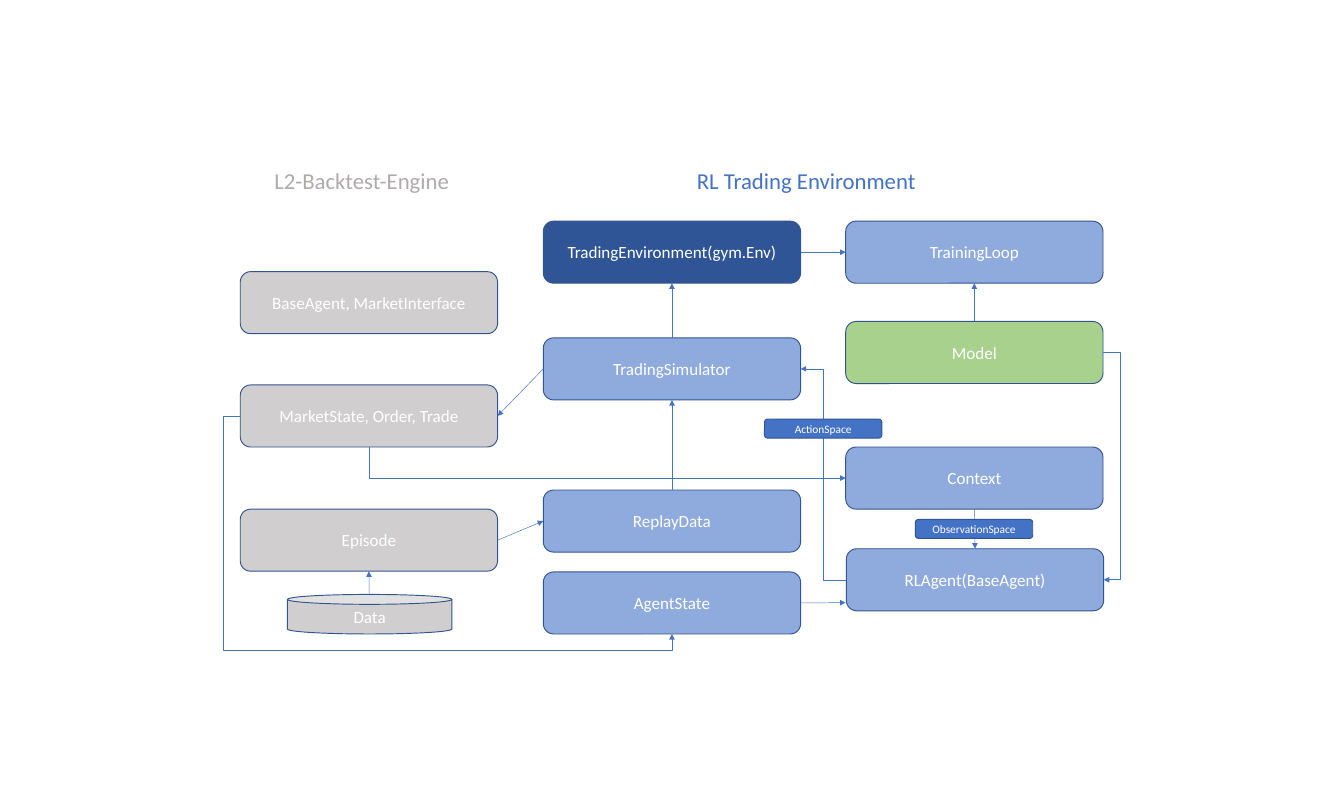
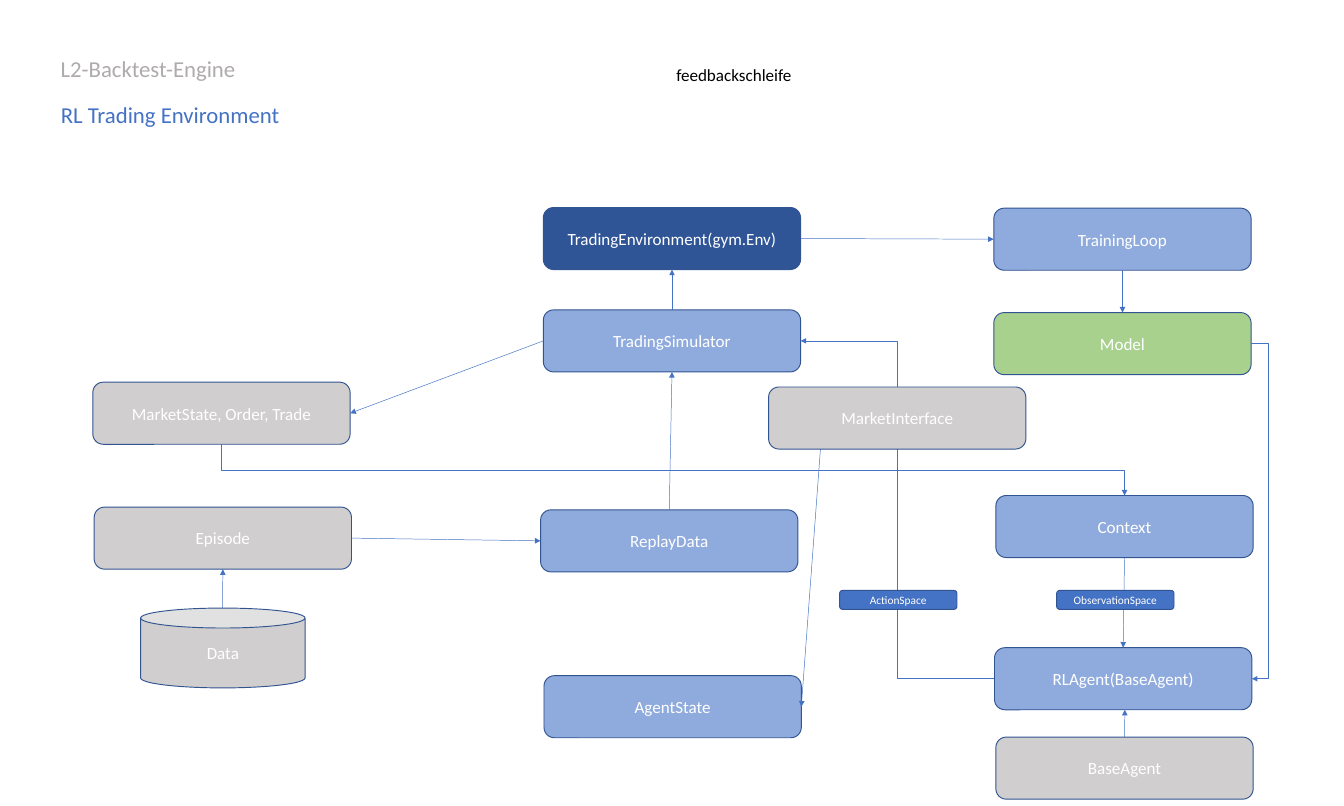
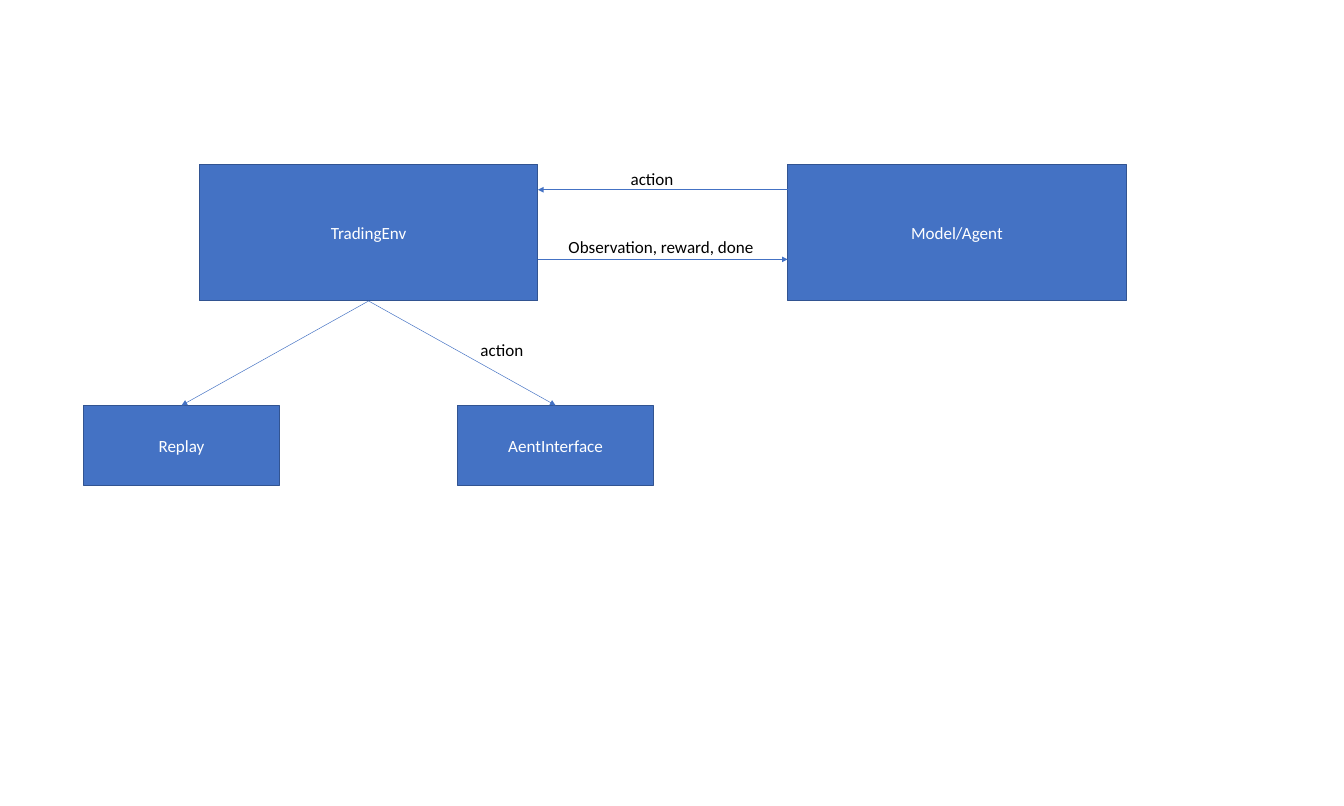
import pptx
import pptx.dml.color
import pptx.enum.shapes
import pptx.enum.text
import pptx.oxml
import pptx.oxml.ns
import pptx.util

Inches = pptx.util.Inches
SHAPE = pptx.enum.shapes.MSO_SHAPE
CONNECTOR = pptx.enum.shapes.MSO_CONNECTOR
ANCHOR = pptx.enum.text.MSO_ANCHOR
ALIGN = pptx.enum.text.PP_ALIGN
AUTO_SIZE = pptx.enum.text.MSO_AUTO_SIZE
qn = pptx.oxml.ns.qn

BLUE, NAVY, LIGHT_BLUE = "4472C4", "2F5597", "8FAADC"
GREY, GREEN, OUTLINE = "D0CECE", "A9D18E", "325491"
HEADING_GREY, WHITE, BLACK = "AFABAB", "FFFFFF", "000000"
TOP, LEFT, BOTTOM, RIGHT = range(4)
NODE_SIZE, TAG_SIZE = (3.77, 0.91), (1.72, 0.28)
TITLE_ONLY, BLANK = 5, 6


def color(value):
    """Return the colour for a hex string."""
    return pptx.dml.color.RGBColor.from_string(value)


def apply(target, values):
    """Set every attribute named in values."""
    for name, value in values.items():
        setattr(target, name, value)


class Diagram:
    """Draws styled boxes, labels and arrows on the current page."""

    def __init__(self):
        """Start an empty deck."""
        self.deck = pptx.Presentation()
        apply(self.deck, {"slide_width": Inches(19.69), "slide_height": Inches(11.81)})

    def new_page(self, layout):
        """Add a page and forget the boxes of the last one."""
        self.page = self.deck.slides.add_slide(self.deck.slide_layouts[layout])
        self.boxes = {}

    def put_text(self, shape, text, size, ink, align, anchor, fit):
        """Put one formatted line of text in a shape."""
        frame = shape.text_frame
        apply(frame, {"word_wrap": True, "auto_size": fit, "vertical_anchor": anchor})
        para = frame.paragraphs[0]
        para.alignment = align
        span = para.add_run()
        span.text = text
        apply(span.font, {"name": "Calibri", "size": pptx.util.Pt(size), "bold": False})
        span.font.color.rgb = color(ink)

    def title(self, text, x, y):
        """Place the page title."""
        shape = self.page.shapes.title
        apply(shape, {"left": Inches(x), "top": Inches(y),
                      "width": Inches(4.56), "height": Inches(0.5)})
        self.put_text(shape, text, 24, BLUE, ALIGN.LEFT, ANCHOR.TOP, AUTO_SIZE.NONE)

    def label(self, text, x, y, width, size=18, ink=BLACK):
        """Place a free line of text."""
        height = 0.5 if size > 18 else 0.4
        shape = self.page.shapes.add_textbox(*map(Inches, (x, y, width, height)))
        self.put_text(shape, text, size, ink, ALIGN.LEFT, ANCHOR.TOP,
                      AUTO_SIZE.SHAPE_TO_FIT_TEXT)

    def box(self, text, x, y, fill, extent=NODE_SIZE, kind=SHAPE.ROUNDED_RECTANGLE, size=18):
        """Draw a box with centred text and remember it by that text."""
        shape = self.page.shapes.add_shape(kind, *map(Inches, (x, y, *extent)))
        shape.shadow.inherit = False
        shape.fill.solid()
        shape.fill.fore_color.rgb = color(fill)
        shape.line.color.rgb = color(OUTLINE)
        shape.line.width = pptx.util.Pt(1)
        self.put_text(shape, text, size, WHITE, ALIGN.CENTER, ANCHOR.MIDDLE, AUTO_SIZE.NONE)
        self.boxes[text] = shape

    def tag(self, text, x, y):
        """Draw a small box that names an arrow."""
        self.box(text, x, y, BLUE, TAG_SIZE, size=12)

    def locate(self, end):
        """Return the point of an arrow end, given as a point or a box and side."""
        if not isinstance(end[0], str):
            return tuple(map(Inches, end))
        shape, side = self.boxes[end[0]], end[1]
        across = {LEFT: 0, RIGHT: shape.width}.get(side, shape.width // 2)
        down = {TOP: 0, BOTTOM: shape.height}.get(side, shape.height // 2)
        return shape.left + across, shape.top + down

    def arrow(self, begin, end, kind=CONNECTOR.STRAIGHT):
        """Draw an arrow and attach the ends that name a box."""
        points = self.locate(begin) + self.locate(end)
        line = self.page.shapes.add_connector(kind, *points)
        for place, attach in ((begin, line.begin_connect), (end, line.end_connect)):
            if isinstance(place[0], str):
                attach(self.boxes[place[0]], place[1])
        line.line.color.rgb = color(BLUE)
        line.line.width = pptx.util.Pt(0.5)
        head = pptx.oxml.parse_xml(
            f'<a:tailEnd {pptx.oxml.ns.nsdecls("a")} type="triangle"/>')
        line.element.spPr.find(qn("a:ln")).append(head)
        effects = pptx.oxml.parse_xml(f'<a:effectLst {pptx.oxml.ns.nsdecls("a")}/>')
        line.element.spPr.append(effects)
        return line

    def elbow(self, begin, end, preset="bentConnector3", via_x=None, via_y=None, down=False):
        """Draw a bent arrow through the given bends; down makes it leave downwards."""
        line = self.arrow(begin, end, CONNECTOR.ELBOW)
        geometry = line.element.spPr.find(qn("a:prstGeom"))
        geometry.set("prst", preset)
        bends = ((via_x, line.begin_x, line.end_x), (via_y, line.begin_y, line.end_y))
        ratios = [(Inches(via) - first) / (last - first)
                  for via, first, last in bends if via is not None]
        guides = geometry.find(qn("a:avLst"))
        for number, ratio in enumerate(ratios, 1):
            guides.append(pptx.oxml.parse_xml(
                f'<a:gd {pptx.oxml.ns.nsdecls("a")} name="adj{number}" '
                f'fmla="val {round(ratio * 100000)}"/>'))
        if down:
            left, top, width, height = line.left, line.top, line.width, line.height
            apply(line, {"left": left + (width - height) // 2,
                         "top": top + (height - width) // 2,
                         "width": height, "height": width})
            frame = line.element.spPr.find(qn("a:xfrm"))
            frame.set("rot", "16200000")
            frame.set("flipH", "1")


def draw_nodes(diagram, nodes):
    """Draw the boxes of a page from rows of text, place and fill."""
    for node in nodes:
        diagram.box(*node)


def draw_arrows(diagram, arrows):
    """Draw straight arrows from pairs of ends."""
    for begin, end in arrows:
        diagram.arrow(begin, end)


def architecture(diagram):
    """Draw the compact class overview."""
    left, middle, right = 3.52, 7.96, 12.39
    diagram.new_page(TITLE_ONLY)
    diagram.title("RL Trading Environment", 10.11, 2.39)
    diagram.label("L2-Backtest-Engine", 3.92, 2.39, 4.56, 24, HEADING_GREY)
    draw_nodes(diagram, (
        ("BaseAgent, MarketInterface", left, 3.98, GREY),
        ("MarketState, Order, Trade", left, 5.64, GREY),
        ("Episode", left, 7.46, GREY),
        ("Data", 4.21, 8.71, GREY, (2.41, 0.58), SHAPE.CAN),
        ("TradingEnvironment(gym.Env)", middle, 3.24, NAVY),
        ("TradingSimulator", middle, 4.95, LIGHT_BLUE),
        ("ReplayData", middle, 7.18, LIGHT_BLUE),
        ("AgentState", middle, 8.38, LIGHT_BLUE),
        ("TrainingLoop", right, 3.24, LIGHT_BLUE),
        ("Model", right, 4.71, GREEN),
        ("Context", right, 6.55, LIGHT_BLUE),
        ("RLAgent(BaseAgent)", right + 0.01, 8.04, LIGHT_BLUE),
    ))
    draw_arrows(diagram, (
        (("TradingEnvironment(gym.Env)", RIGHT), ("TrainingLoop", LEFT)),
        (("Model", TOP), ("TrainingLoop", BOTTOM)),
        (("TradingSimulator", TOP), ("TradingEnvironment(gym.Env)", BOTTOM)),
        (("ReplayData", TOP), ("TradingSimulator", BOTTOM)),
        (("Context", BOTTOM), ("RLAgent(BaseAgent)", TOP)),
        (("Episode", RIGHT), ("ReplayData", LEFT)),
        ((5.41, 8.71), ("Episode", BOTTOM)),
        (("TradingSimulator", LEFT), ("MarketState, Order, Trade", RIGHT)),
        (("AgentState", RIGHT), (12.39, 8.83)),
    ))
    diagram.elbow(("MarketState, Order, Trade", BOTTOM), ("Context", LEFT),
                  "bentConnector2", down=True)
    diagram.elbow(("RLAgent(BaseAgent)", LEFT), ("TradingSimulator", RIGHT))
    diagram.elbow(("Model", RIGHT), ("RLAgent(BaseAgent)", RIGHT), via_x=16.41)
    diagram.elbow(("MarketState, Order, Trade", LEFT), ("AgentState", BOTTOM),
                  "bentConnector4", via_x=3.27, via_y=9.53)
    diagram.tag("ObservationSpace", 13.41, 7.61)
    diagram.tag("ActionSpace", 11.2, 6.14)


def feedback(diagram):
    """Draw the wide class overview with the feedback loop."""
    middle, right = 7.96, 14.56
    diagram.new_page(TITLE_ONLY)
    diagram.title("RL Trading Environment", 0.79, 1.43)
    diagram.label("L2-Backtest-Engine", 0.79, 0.75, 4.56, 24, HEADING_GREY)
    diagram.label("feedbackschleife", 9.81, 0.9, 2.7)
    draw_nodes(diagram, (
        ("MarketState, Order, Trade", 1.36, 5.6, GREY),
        ("Episode", 1.38, 7.43, GREY),
        ("Data", 2.06, 8.91, GREY, (2.41, 1.17), SHAPE.CAN),
        ("TradingEnvironment(gym.Env)", middle, 3.04, NAVY),
        ("TradingSimulator", middle, 4.54, LIGHT_BLUE),
        ("ReplayData", 7.92, 7.47, LIGHT_BLUE),
        ("AgentState", 7.97, 9.9, LIGHT_BLUE),
        ("TrainingLoop", right, 3.05, LIGHT_BLUE),
        ("Model", right, 4.58, GREEN),
        ("Context", 14.59, 7.26, LIGHT_BLUE),
        ("RLAgent(BaseAgent)", right + 0.01, 9.49, LIGHT_BLUE),
        ("BaseAgent", 14.59, 10.8, GREY),
    ))
    draw_arrows(diagram, (
        (("TradingEnvironment(gym.Env)", RIGHT), ("TrainingLoop", LEFT)),
        (("TradingSimulator", TOP), ("TradingEnvironment(gym.Env)", BOTTOM)),
        (("ReplayData", TOP), ("TradingSimulator", BOTTOM)),
        (("Context", BOTTOM), ("RLAgent(BaseAgent)", TOP)),
        (("Episode", RIGHT), ("ReplayData", LEFT)),
        ((3.26, 8.91), ("Episode", BOTTOM)),
        (("TradingSimulator", LEFT), ("MarketState, Order, Trade", RIGHT)),
        (("BaseAgent", TOP), (16.48, 10.4)),
        (("TrainingLoop", BOTTOM), ("Model", TOP)),
        ((12.02, 6.58), ("AgentState", RIGHT)),
    ))
    diagram.elbow(("RLAgent(BaseAgent)", LEFT), ("TradingSimulator", RIGHT))
    diagram.elbow(("Model", RIGHT), ("RLAgent(BaseAgent)", RIGHT), via_x=18.58)
    diagram.tag("ObservationSpace", 15.48, 8.65)
    diagram.tag("ActionSpace", 12.3, 8.65)
    diagram.box("MarketInterface", 11.26, 5.67, GREY)
    diagram.elbow(("MarketState, Order, Trade", BOTTOM), ("Context", TOP), down=True)


def agent_loop(diagram):
    """Draw the exchange between environment and agent."""
    large, small = (4.96, 2), (2.86, 1.18)
    diagram.new_page(BLANK)
    draw_nodes(diagram, (
        ("TradingEnv", 2.92, 2.41, BLUE, large, SHAPE.RECTANGLE),
        ("Model/Agent", 11.54, 2.41, BLUE, large, SHAPE.RECTANGLE),
        ("AentInterface", 6.71, 5.94, BLUE, small, SHAPE.RECTANGLE),
        ("Replay", 1.23, 5.94, BLUE, small, SHAPE.RECTANGLE),
    ))
    draw_arrows(diagram, (
        (("TradingEnv", BOTTOM), ("AentInterface", TOP)),
        (("TradingEnv", BOTTOM), ("Replay", TOP)),
        ((11.54, 2.78), (7.88, 2.78)),
        ((7.88, 3.8), (11.54, 3.8)),
    ))
    diagram.label("action", 9.14, 2.42, 2.92)
    diagram.label("Observation, reward, done", 8.23, 3.42, 3.22)
    diagram.label("action", 6.94, 4.92, 2.41)


def main():
    """Build and save the deck."""
    diagram = Diagram()
    for draw in (architecture, feedback, agent_loop):
        draw(diagram)
    diagram.deck.save("out.pptx")


if __name__ == "__main__":
    main()
